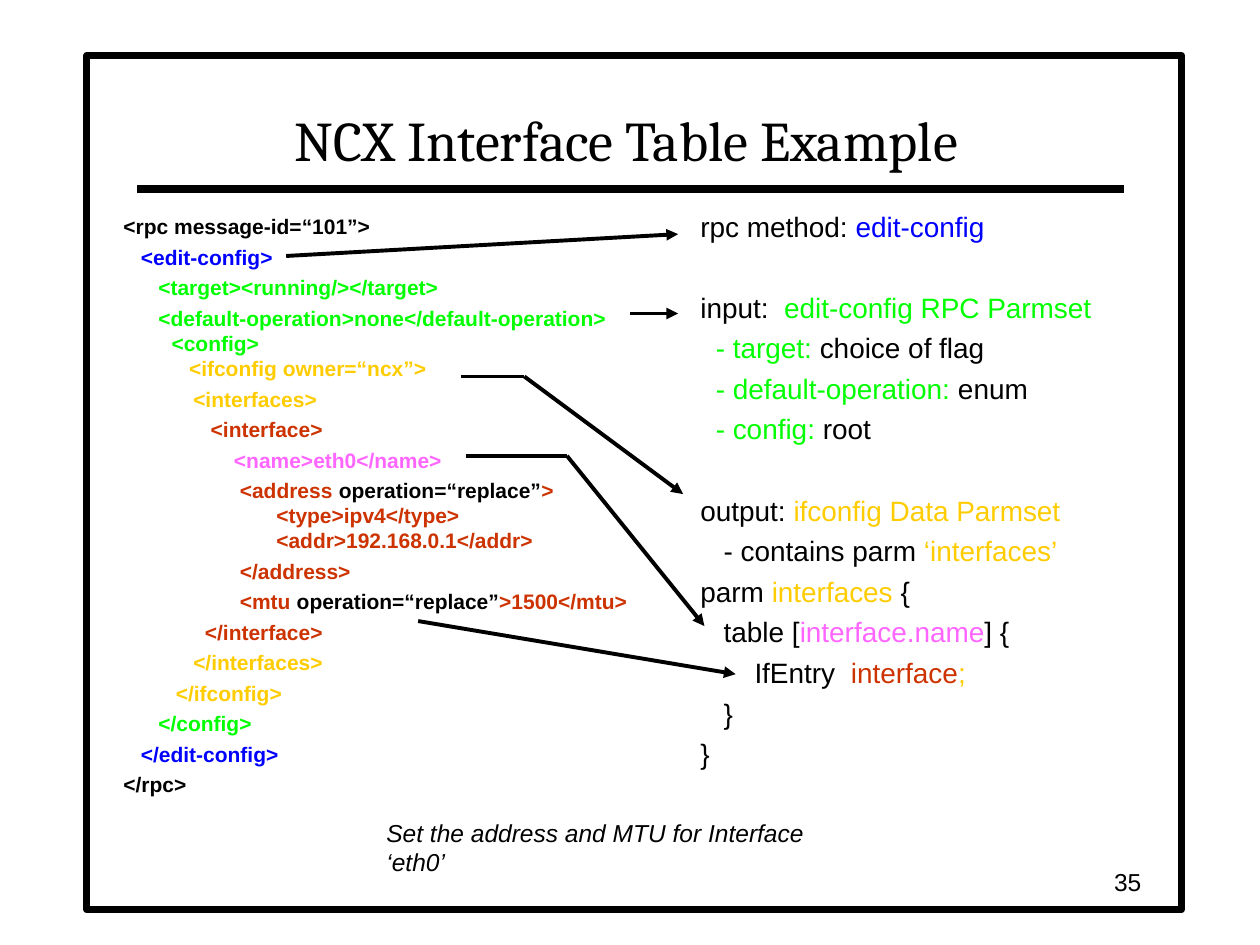
from dataclasses import dataclass

from lxml import etree
from pptx import Presentation
from pptx import util as u
from pptx.dml.color import RGBColor
from pptx.enum import shapes, text
from pptx.oxml import ns

BLACK = RGBColor(0x00, 0x00, 0x00)
WHITE = RGBColor(0xFF, 0xFF, 0xFF)
BLUE = RGBColor(0x00, 0x00, 0xFF)
GREEN = RGBColor(0x00, 0xFF, 0x00)
GOLD = RGBColor(0xFF, 0xCC, 0x00)
PINK = RGBColor(0xFF, 0x66, 0xFF)
RUST = RGBColor(0xCC, 0x33, 0x00)

BODY_FONT = "Arial"
TITLE_FONT = "Cambria"
LINE_FACTOR = 1.2


@dataclass(frozen=True)
class Span:
    words: str
    color: RGBColor = BLACK


@dataclass(frozen=True)
class Line:
    spans: tuple[Span, ...]
    indent: float = 0
    new_group: bool = False


@dataclass(frozen=True)
class Listing:
    area: tuple[float, float, float, float]
    size: float
    gap: float
    hang: float
    bold: bool
    lines: tuple[Line, ...]


@dataclass(frozen=True)
class Route:
    points: tuple[tuple[float, float], ...]


def line(*spans: Span, indent: float = 0, new_group: bool = False) -> Line:
    return Line(spans, indent, new_group)


REQUEST = Listing((2.24, 4.19, 12.9, 13.13), 12, 3, 0.97, True, (
    line(Span("<rpc message-id=“101”>")),
    line(Span("   <edit-config>", BLUE)),
    line(Span("      <target><running/></target>", GREEN)),
    line(Span("      <default-operation>none</default-operation>\n<config>\n", GREEN),
         Span("   <ifconfig owner=“ncx”>", GOLD)),
    line(Span("            <interfaces>", GOLD)),
    line(Span("               <interface>", RUST)),
    line(Span("                   <name>eth0</name>", PINK)),
    line(Span("                    <address ", RUST), Span("operation=“replace”"),
         Span(">\n                  <type>ipv4</type>"
              "\n                  <addr>192.168.0.1</addr>", RUST)),
    line(Span("                    </address>", RUST)),
    line(Span("                    <mtu ", RUST), Span("operation=“replace”"),
         Span(">1500</mtu>", RUST)),
    line(Span("              </interface>", RUST)),
    line(Span("            </interfaces>", GOLD)),
    line(Span("         </ifconfig>", GOLD)),
    line(Span("      </config>", GREEN)),
    line(Span("   </edit-config>", BLUE)),
    line(Span("</rpc>")),
))

DEFINITION = Listing((13.87, 4.09, 9.91, 13.13), 16, 4, 0, False, (
    line(Span("rpc method:"), Span(" edit-config", BLUE)),
    line(Span("input:"), Span("  edit-config RPC Parmset", GREEN), new_group=True),
    line(Span("- target: ", GREEN), Span("choice of flag"), indent=0.31),
    line(Span("- default-operation: ", GREEN), Span("enum"), indent=0.31),
    line(Span("- config: ", GREEN), Span("root"), indent=0.31),
    line(Span("output: "), Span("ifconfig Data Parmset", GOLD), new_group=True),
    line(Span("- contains parm"), Span(" ‘interfaces’", GOLD), indent=0.47),
    line(Span("parm"), Span(" interfaces ", GOLD), Span("{")),
    line(Span("   table ["), Span("interface.name", PINK), Span("] {")),
    line(Span("       IfEntry  "), Span("interface", RUST), Span(";", GOLD)),
    line(Span("   }")),
    line(Span("}")),
))

ROUTES = (
    Route(((5.77, 5.16), (13.67, 4.72))),
    Route(((12.7, 6.32), (13.67, 6.32))),
    Route(((9.3, 7.59), (10.57, 7.59), (13.77, 9.96))),
    Route(((8.43, 12.52), (14.83, 13.59))),
    Route(((9.4, 9.19), (11.43, 9.19), (14.2, 12.62))),
)


def style(font, size: float, color: RGBColor, name: str = BODY_FONT) -> None:
    font.name = name
    font.size = u.Pt(size)
    font.color.rgb = color


def add_frame(page) -> None:
    frame = page.shapes.add_shape(
        shapes.MSO_SHAPE.RECTANGLE, u.Cm(1.75), u.Cm(1.12), u.Cm(22.07), u.Cm(17.22))
    frame.shadow.inherit = False
    frame.fill.solid()
    frame.fill.fore_color.rgb = WHITE
    frame.line.color.rgb = BLACK
    frame.line.width = u.Pt(4)


def add_line(page, start: tuple[float, float], end: tuple[float, float],
             width: float, arrow: bool = False) -> None:
    connector = page.shapes.add_connector(
        shapes.MSO_CONNECTOR.STRAIGHT, *(u.Cm(value) for value in start + end))
    connector.line.color.rgb = BLACK
    connector.line.width = u.Pt(width)
    if arrow:
        etree.SubElement(connector.line._get_or_add_ln(), ns.qn("a:tailEnd"), type="triangle")
    etree.SubElement(connector.element.spPr, ns.qn("a:effectLst"))


def add_route(page, route: Route) -> None:
    legs = list(zip(route.points, route.points[1:]))
    for number, (start, end) in enumerate(legs, 1):
        add_line(page, start, end, 2.25, arrow=number == len(legs))


def add_box(page, area: tuple[float, float, float, float], wrap: bool = True):
    box = page.shapes.add_textbox(*(u.Cm(value) for value in area))
    box.text_frame.word_wrap = wrap
    return box


def add_spans(para, spans: tuple[Span, ...], listing: Listing) -> None:
    for span in spans:
        for number, words in enumerate(span.words.split("\n")):
            if number:
                para.add_line_break()
            if words:
                run = para.add_run()
                run.text = words
                style(run.font, listing.size, span.color)
                run.font.bold = listing.bold


def add_listing(page, listing: Listing) -> None:
    frame = add_box(page, listing.area).text_frame
    pitch = listing.size * LINE_FACTOR
    for number, entry in enumerate(listing.lines):
        para = frame.add_paragraph() if number else frame.paragraphs[0]
        para.line_spacing = u.Pt(pitch)
        if number:
            skipped = pitch + listing.gap if entry.new_group else 0
            para.space_before = u.Pt(listing.gap + skipped)
        properties = para._p.get_or_add_pPr()
        properties.set("marL", str(u.Cm(listing.hang + entry.indent)))
        properties.set("indent", str(-u.Cm(listing.hang)))
        add_spans(para, entry.spans, listing)


def add_title(page) -> None:
    title = page.shapes.title
    title.left, title.top = u.Cm(2.74), u.Cm(1.27)
    title.width, title.height = u.Cm(19.79), u.Cm(2.34)
    title.text_frame.text = "NCX Interface Table Example"
    title.text_frame.vertical_anchor = text.MSO_ANCHOR.BOTTOM
    para = title.text_frame.paragraphs[0]
    para.alignment = text.PP_ALIGN.CENTER
    style(para.runs[0].font, 32, BLACK, TITLE_FONT)
    title.element.getparent().append(title.element)


def add_note(page, area: tuple[float, float, float, float], words: str, wrap: bool):
    box = add_box(page, area, wrap)
    box.text_frame.text = words
    para = box.text_frame.paragraphs[0]
    style(para.runs[0].font, 14, BLACK)
    return box.text_frame


def main() -> None:
    deck = Presentation()
    deck.slide_width, deck.slide_height = u.Cm(25.4), u.Cm(19.05)
    page = deck.slides.add_slide(deck.slide_layouts[5])
    add_frame(page)
    add_line(page, (2.77, 3.81), (22.66, 3.81), 4.5)
    add_title(page)
    for listing in (DEFINITION, REQUEST):
        add_listing(page, listing)
    for route in ROUTES:
        add_route(page, route)
    caption = add_note(page, (7.54, 16.36, 10.24, 0.86),
                       "Set the address and MTU for Interface ‘eth0’", False)
    caption.paragraphs[0].runs[0].font.italic = True
    number = add_note(page, (17.98, 17.35, 5.28, 0.84), "35", True)
    number.vertical_anchor = text.MSO_ANCHOR.MIDDLE
    number.paragraphs[0].alignment = text.PP_ALIGN.RIGHT
    deck.save("out.pptx")


if __name__ == "__main__":
    main()
